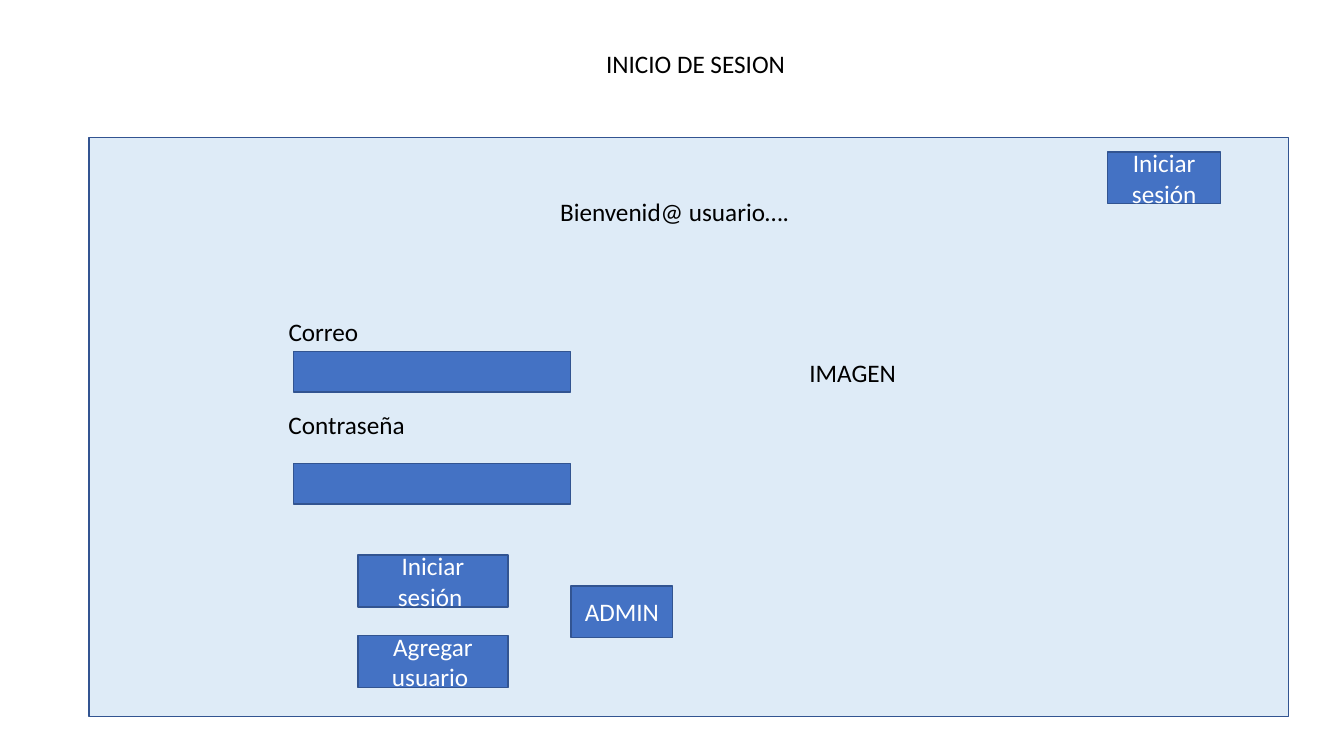
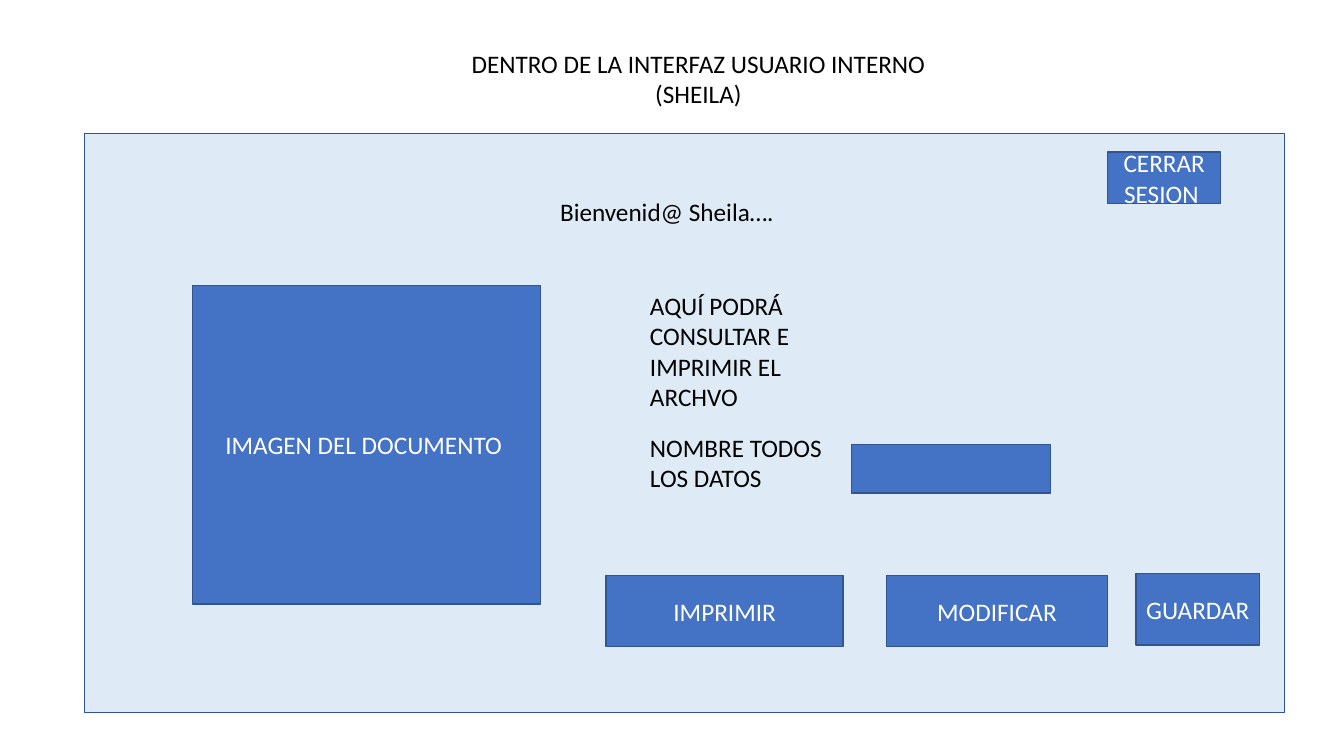
from pptx import Presentation
from pptx.dml.color import RGBColor
from pptx.enum.shapes import MSO_SHAPE
from pptx.enum.text import MSO_ANCHOR, MSO_AUTO_SIZE, PP_ALIGN
from pptx.util import Pt

RECT = MSO_SHAPE.RECTANGLE
TOP, MIDDLE = MSO_ANCHOR.TOP, MSO_ANCHOR.MIDDLE
LEFT, CENTER = PP_ALIGN.LEFT, PP_ALIGN.CENTER
NO_FIT = MSO_AUTO_SIZE.NONE
TITLE_ONLY = 5

# Shared style
FONT, SIZE = "Calibri", 18
PANEL, BLUE, EDGE = "DEEBF7", "4472C4", "325491"
BLACK, WHITE = "000000", "FFFFFF"
PANEL_SIZE = (857, 413.5)
TITLE_BOX = (302.4, 31, 393, 51)
SESSION_BOX = (791.3, 108.5, 80.6, 37)
WELCOME_BOX = (393, 137, 335, 51)

# Login form: fields and buttons each share a column
FIELD_X, FIELD_W, FIELD_H = 209.5, 198, 29
BUTTON_X, BUTTON_W, BUTTON_H = 255.6, 107.3, 37
# Document page: texts share a column, actions share a height
NOTE_X, NOTE_W, ACTION_H = 457.2, 142, 51

# Content: boxes and labels are (text, (left, top, width, height))
SLIDES = [
    {
        "title": "INICIO DE SESION ",
        "panel_at": (63.5, 98.2),
        "session": "Iniciar sesión",
        "welcome": "Bienvenid@ usuario….",
        "boxes": [
            ("", (FIELD_X, 251, FIELD_W, FIELD_H)),
            ("", (FIELD_X, 331, FIELD_W, FIELD_H)),
            ("Iniciar sesión ", (BUTTON_X, 396.5, BUTTON_W, BUTTON_H)),
            ("Agregar usuario ", (BUTTON_X, 454, BUTTON_W, BUTTON_H)),
            ("ADMIN", (408, 418.5, 72.5, BUTTON_H)),
        ],
        "labels": [
            ("Correo", (199, 222.5, 281, 29)),
            ("Contraseña", (199, 289, 232, 29)),
            ("IMAGEN", (571, 251.5, 264, 29)),
        ],
    },
    {
        "title": "DENTRO DE LA INTERFAZ USUARIO INTERNO (SHEILA)",
        "panel_at": (60.4, 95.5),
        "session": "CERRAR SESION ",
        "welcome": "Bienvenid@ Sheila….",
        "boxes": [
            ("IMAGEN DEL DOCUMENTO ", (137.5, 204, 248.6, 227.5)),
            ("", (608.2, 317.5, 142, 34.8)),
            ("IMPRIMIR", (433, 411, 169.3, ACTION_H)),
            ("MODIFICAR", (633.3, 411, 157.7, ACTION_H)),
            ("GUARDAR", (811.5, 409.7, 88.2, ACTION_H)),
        ],
        "labels": [
            ("AQUÍ PODRÁ CONSULTAR E IMPRIMIR EL ARCHVO",
             (NOTE_X, 204, NOTE_W, 94.5)),
            ("NOMBRE TODOS LOS DATOS", (NOTE_X, 305.3, NOTE_W, 51)),
        ],
    },
]


def rgb(value):
    return RGBColor.from_string(value)


def points(box):
    return [Pt(v) for v in box]


def write(shape, text, color, align, anchor):
    tf = shape.text_frame
    tf.word_wrap = True
    tf.auto_size = NO_FIT
    tf.vertical_anchor = anchor
    p = tf.paragraphs[0]
    p.text = text
    p.alignment = align
    p.font.name, p.font.size = FONT, Pt(SIZE)
    p.font.color.rgb = rgb(color)


def add_title(s, text):
    sp = s.shapes.title
    sp.left, sp.top, sp.width, sp.height = points(TITLE_BOX)
    write(sp, text, BLACK, CENTER, TOP)


def add_box(s, text, box, fill=BLUE):
    sp = s.shapes.add_shape(RECT, *points(box))
    sp.shadow.inherit = False
    sp.fill.solid()
    sp.fill.fore_color.rgb = rgb(fill)
    sp.line.color.rgb = rgb(EDGE)
    sp.line.width = Pt(1)
    if text:
        write(sp, text, WHITE, CENTER, MIDDLE)


def add_label(s, text, box):
    write(s.shapes.add_textbox(*points(box)), text, BLACK, LEFT, TOP)


def main():
    prs = Presentation()
    prs.slide_width, prs.slide_height = Pt(960), Pt(540)
    for page in SLIDES:
        s = prs.slides.add_slide(prs.slide_layouts[TITLE_ONLY])
        add_title(s, page["title"])
        add_box(s, "", page["panel_at"] + PANEL_SIZE, PANEL)
        for text, box in [(page["session"], SESSION_BOX)] + page["boxes"]:
            add_box(s, text, box)
        for text, box in [(page["welcome"], WELCOME_BOX)] + page["labels"]:
            add_label(s, text, box)
    prs.save("out.pptx")


if __name__ == "__main__":
    main()
